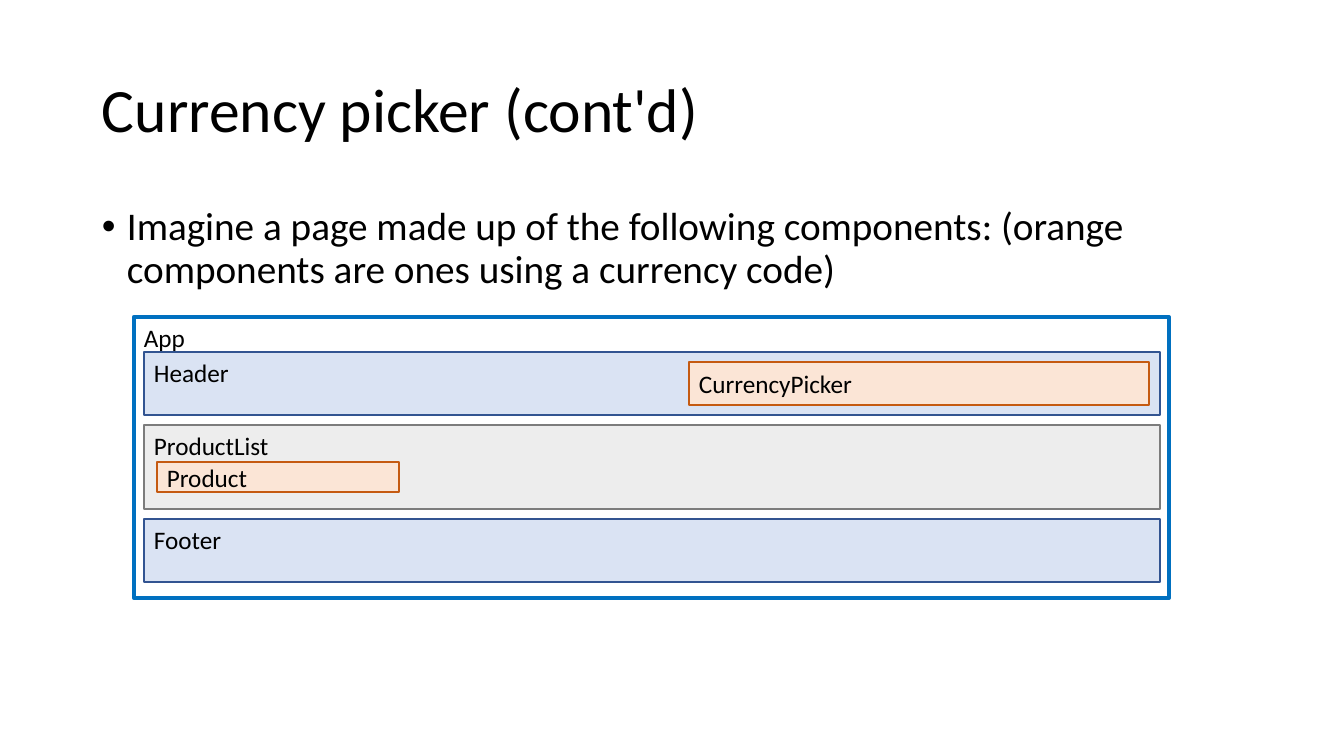
from lxml.etree import SubElement
from pptx import Presentation
from pptx.dml.color import RGBColor
from pptx.enum.shapes import MSO_SHAPE
from pptx.enum.text import MSO_ANCHOR, PP_ALIGN
from pptx.oxml.ns import qn
from pptx.util import Emu, Pt

TITLE = "Currency picker (cont'd)"
BULLET = ("Imagine a page made up of the following components: "
          "(orange components are ones using a currency code)")
BLUE = ("DAE3F3", "325491")
GRAY = ("EDEDED", "7C7C7C")
ORANGE = ("FBE5D6", "C55A11")
APP = ("App", (134, 317, 1035, 281), (None, "0070C0"))
SECTIONS = [("Header", 63, BLUE), ("ProductList", 84, GRAY), ("Footer", 63, BLUE)]
CURRENCY_USERS = [
    ("CurrencyPicker", (689, 362, 460, 43), ORANGE),
    ("Product", (157, 462, 242, 30), ORANGE),
]
SECTION_LEFT, SECTION_TOP, SECTION_WIDTH, SECTION_GAP = 144, 352, 1016, 10
PX_PER_INCH = 100.8


def px(length):
    return Emu(round(length * 914400 / PX_PER_INCH))


def color(value):
    return RGBColor.from_string(value)


def write(shape, text, size, anchor):
    frame = shape.text_frame
    frame.word_wrap = True
    frame.vertical_anchor = anchor
    frame.text = text
    paragraph = frame.paragraphs[0]
    paragraph.alignment = PP_ALIGN.LEFT
    font = paragraph.runs[0].font
    font.name, font.size = "Calibri", Pt(size)
    font.color.rgb = color("000000")
    return paragraph


def add_text(slide, box, text, size, anchor):
    shape = slide.shapes.add_textbox(*map(px, box))
    paragraph = write(shape, text, size, anchor)
    paragraph.line_spacing = 0.9
    return paragraph


def add_component(slide, name, box, colors, anchor=MSO_ANCHOR.TOP, line_width=1):
    shape = slide.shapes.add_shape(MSO_SHAPE.RECTANGLE, *map(px, box))
    shape.shadow.inherit = False
    fill, line = colors
    if fill:
        shape.fill.solid()
        shape.fill.fore_color.rgb = color(fill)
    else:
        shape.fill.background()
    shape.line.color.rgb = color(line)
    shape.line.width = Pt(line_width)
    write(shape, name, 18, anchor)


def add_bullet(paragraph, indent):
    properties = paragraph._p.get_or_add_pPr()
    properties.set("marL", str(px(indent)))
    properties.set("indent", str(-px(indent)))
    SubElement(properties, qn("a:buFont"), typeface="Arial")
    SubElement(properties, qn("a:buChar"), char="•")


def main():
    presentation = Presentation()
    presentation.slide_width, presentation.slide_height = px(1344), px(756)
    slide = presentation.slides.add_slide(presentation.slide_layouts[6])

    add_text(slide, (92, 40, 1159, 146), TITLE, 44, MSO_ANCHOR.MIDDLE)
    bullet = add_text(slide, (92, 202, 1159, 480), BULLET, 28, MSO_ANCHOR.TOP)
    bullet.space_before = Pt(10)
    add_bullet(bullet, 25)

    add_component(slide, *APP, line_width=3)
    top = SECTION_TOP
    for name, height, colors in SECTIONS:
        add_component(slide, name, (SECTION_LEFT, top, SECTION_WIDTH, height), colors)
        top += height + SECTION_GAP
    for name, box, colors in CURRENCY_USERS:
        add_component(slide, name, box, colors, MSO_ANCHOR.MIDDLE)

    presentation.save("out.pptx")


if __name__ == "__main__":
    main()
